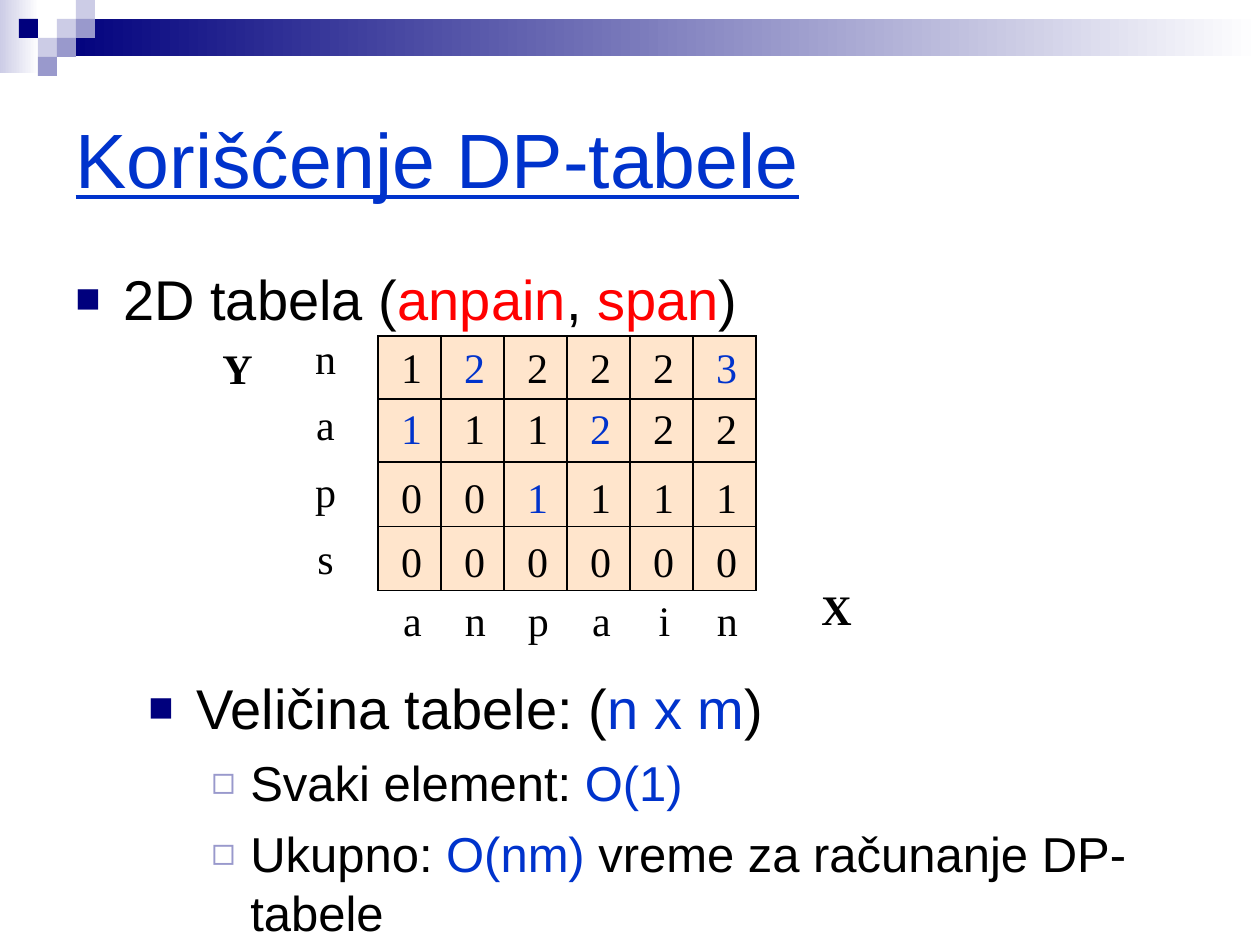
from lxml import etree
from pptx import Presentation
from pptx.dml.color import RGBColor
from pptx.enum.shapes import MSO_SHAPE
from pptx.enum.text import MSO_ANCHOR, MSO_AUTO_SIZE, PP_ALIGN
from pptx.oxml.ns import qn
from pptx.util import Pt

RECTANGLE = MSO_SHAPE.RECTANGLE
MIDDLE, TOP = MSO_ANCHOR.MIDDLE, MSO_ANCHOR.TOP
LEFT, CENTER = PP_ALIGN.LEFT, PP_ALIGN.CENTER
NO_AUTOFIT = MSO_AUTO_SIZE.NONE
TITLE_ONLY = 5
EMU_PER_PX = 914400 / 126

COLORS = {
    "black": "000000", "white": "FFFFFF", "blue": "0033CC", "red": "FF0000",
    "navy": "00007D", "lavender": "9999CC", "pale": "CCCCE6", "peach": "FFE5CC",
}
BULLETS = [
    dict(char="■", color="navy", percent=75, margin=48, hang=48, size=32, before=8),
    dict(char="◻", color="lavender", percent=80, margin=102, hang=39, size=28, before=7),
]


def px(length):
    return round(length * EMU_PER_PX)


def rgb(color):
    return RGBColor.from_string(COLORS[color])


class SlideBuilder:
    sans = "Arial"
    serif = "Times New Roman"

    def __init__(self, slide):
        self.slide = slide

    def style(self, font, name, size, color="black", bold=False):
        font.name, font.size, font.bold = name, Pt(size), bold
        font.color.rgb = rgb(color)

    def title(self, text, left, top, width, height):
        title = self.slide.shapes.title
        title.left, title.top = px(left), px(top)
        title.width, title.height = px(width), px(height)
        frame = title.text_frame
        frame.text = text
        frame.auto_size = NO_AUTOFIT
        frame.vertical_anchor = MIDDLE
        frame.paragraphs[0].alignment = LEFT
        font = frame.paragraphs[0].runs[0].font
        self.style(font, self.sans, 44, "blue")
        font.underline = True

    def rectangle(self, left, top, width, height, color, fade_to=None):
        shape = self.slide.shapes.add_shape(
            RECTANGLE, px(left), px(top), px(width), px(height))
        shape.shadow.inherit = False
        shape.line.fill.background()
        if fade_to is None:
            shape.fill.solid()
            shape.fill.fore_color.rgb = rgb(color)
            return
        shape.fill.gradient()
        shape.fill.gradient_angle = 0
        for stop, name, position in zip(shape.fill.gradient_stops, (color, fade_to), (0, 1)):
            stop.color.rgb = rgb(name)
            stop.position = position

    def text_box(self, left, top, width, height):
        box = self.slide.shapes.add_textbox(px(left), px(top), px(width), px(height))
        box.text_frame.word_wrap = True
        return box.text_frame

    def labels(self, lines, left, top, width, height, bold=False, spacing=None):
        frame = self.text_box(left, top, width, height)
        frame.text = "\n".join(lines)
        for index, paragraph in enumerate(frame.paragraphs):
            paragraph.alignment = CENTER
            paragraph.line_spacing = spacing
            if index:
                paragraph.space_before = Pt(15)
            self.style(paragraph.runs[0].font, self.serif, 24, bold=bold)

    def bullets(self, items, left, top, width, height):
        frame = self.text_box(left, top, width, height)
        for index, (level, parts) in enumerate(items):
            paragraph = frame.add_paragraph() if index else frame.paragraphs[0]
            paragraph.level = level
            look = BULLETS[level]
            self.bullet_mark(paragraph, look)
            if index:
                paragraph.space_before = Pt(look["before"])
            for text, color in parts:
                run = paragraph.add_run()
                run.text = text
                self.style(run.font, self.sans, look["size"], color)

    def bullet_mark(self, paragraph, look):
        properties = paragraph._p.get_or_add_pPr()
        properties.set("marL", str(px(look["margin"])))
        properties.set("indent", str(-px(look["hang"])))
        tint = etree.SubElement(properties, qn("a:buClr"))
        etree.SubElement(tint, qn("a:srgbClr"), val=COLORS[look["color"]])
        etree.SubElement(properties, qn("a:buSzPct"), val=str(look["percent"] * 1000))
        etree.SubElement(properties, qn("a:buFont"), typeface=self.sans)
        etree.SubElement(properties, qn("a:buChar"), char=look["char"])

    def table(self, rows, highlights, left, top, cell_size, drops):
        width, height = cell_size * len(rows[0]), cell_size * len(rows)
        table = self.slide.shapes.add_table(
            len(rows), len(rows[0]), px(left), px(top), px(width), px(height)).table
        table.first_row = table.horz_banding = False
        for column in table.columns:
            column.width = px(cell_size)
        for r, values in enumerate(rows):
            table.rows[r].height = px(cell_size)
            for c, value in enumerate(values):
                cell = table.cell(r, c)
                cell.text = str(value)
                cell.margin_left, cell.margin_right = px(4), 0
                cell.margin_top, cell.margin_bottom = px(drops[r]), 0
                cell.vertical_anchor = TOP
                self.borders(cell)
                cell.fill.solid()
                cell.fill.fore_color.rgb = rgb("peach")
                paragraph = cell.text_frame.paragraphs[0]
                paragraph.alignment = CENTER
                color = "blue" if (r, c) in highlights else "black"
                self.style(paragraph.runs[0].font, self.serif, 24, color)

    def borders(self, cell):
        properties = cell._tc.get_or_add_tcPr()
        for side in ("a:lnL", "a:lnR", "a:lnT", "a:lnB"):
            line = etree.SubElement(properties, qn(side), w=str(Pt(0.75)))
            fill = etree.SubElement(line, qn("a:solidFill"))
            etree.SubElement(fill, qn("a:srgbClr"), val=COLORS["black"])


def main():
    deck = Presentation()
    deck.slide_width, deck.slide_height = px(1260), px(945)
    page = SlideBuilder(deck.slides.add_slide(deck.slide_layouts[TITLE_ONLY]))

    page.rectangle(0, 0, 39, 73, "pale", "white")
    page.rectangle(57, 19, 1203, 37, "navy", "white")
    tile = 19
    for column, row, color in [
        (3, 1, "pale"), (4, 0, "pale"), (4, 1, "lavender"), (2, 2, "pale"),
        (1, 1, "navy"), (3, 2, "lavender"), (2, 3, "lavender"),
    ]:
        page.rectangle(column * tile, row * tile, tile, tile, color)

    page.title("Korišćenje DP-tabele", 63, 63, 1134, 189)
    page.bullets([
        (0, [("2D tabela (", "black"), ("anpain", "red"), (", ", "black"),
             ("span", "red"), (")", "black")]),
    ], 63, 258, 1134, 76)

    grid_left, grid_top, cell_size = 378, 336, 63
    lengths = [
        [1, 2, 2, 2, 2, 3],
        [1, 1, 1, 2, 2, 2],
        [0, 0, 1, 1, 1, 1],
        [0, 0, 0, 0, 0, 0],
    ]
    matches = {(0, 1), (0, 5), (1, 0), (1, 3), (2, 2)}
    page.table(lengths, matches, grid_left, grid_top, cell_size, (10, 8, 14, 14))
    page.labels("naps", 294, grid_top, 63, 253, spacing=0.8)
    for index, letter in enumerate("anpain"):
        page.labels(letter, grid_left + 3 + index * cell_size, 588, cell_size, 63)
    page.labels("Y", 210, grid_top, 55, 63, bold=True)
    page.labels("X", 809, 577, 55, 63, bold=True)

    page.bullets([
        (0, [("Veličina tabele: (", "black"), ("n x m", "blue"), (")", "black")]),
        (1, [("Svaki element: ", "black"), ("O(1)", "blue")]),
        (1, [("Ukupno: ", "black"), ("O(nm) ", "blue"),
             ("vreme za računanje DP-tabele", "black")]),
    ], 136, 667, 1071, 278)

    deck.save("out.pptx")


if __name__ == "__main__":
    main()
